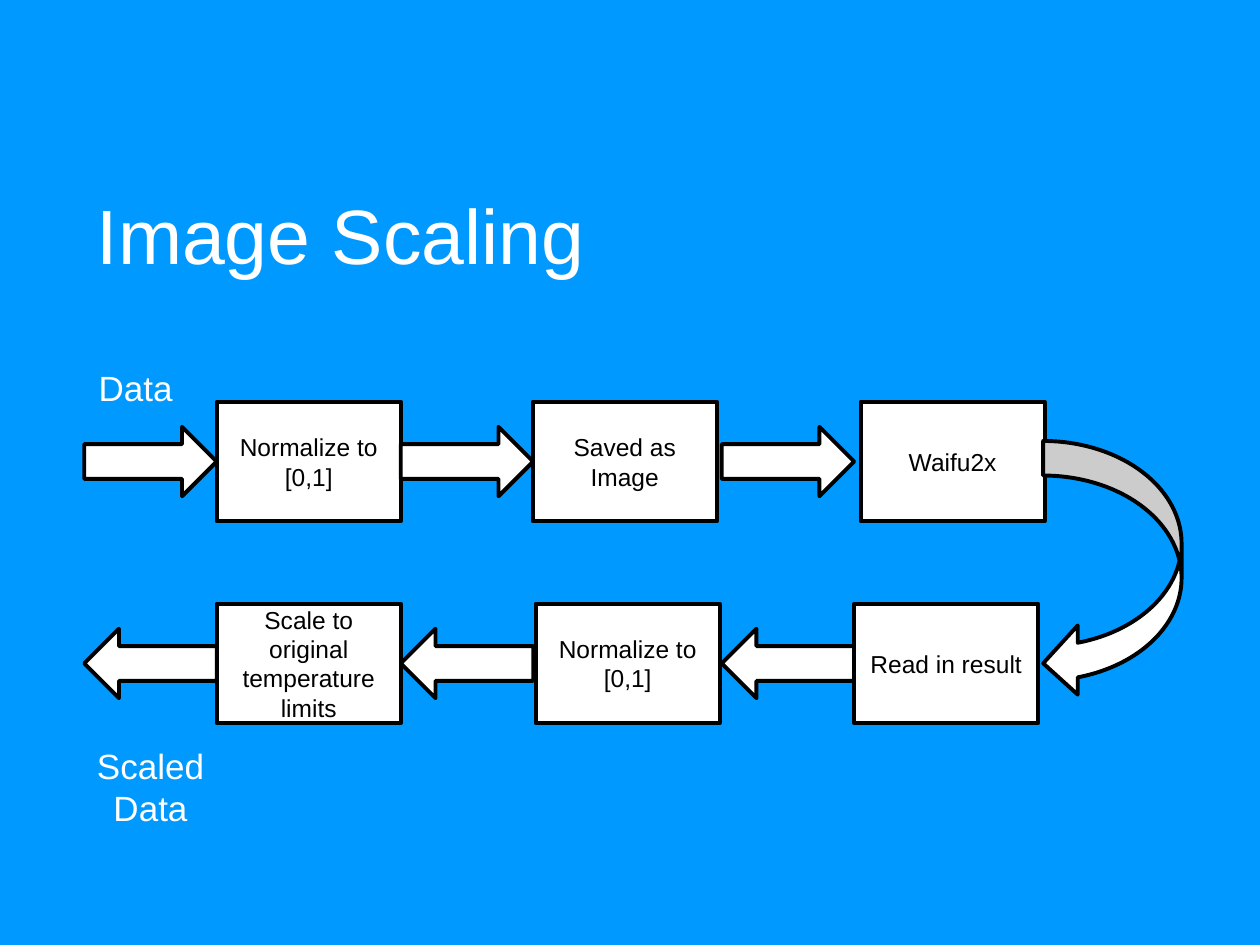
import pptx
import pptx.dml.color
import pptx.enum.shapes
import pptx.enum.text
import pptx.util

Cm = pptx.util.Cm
Pt = pptx.util.Pt
RGBColor = pptx.dml.color.RGBColor
Shape = pptx.enum.shapes.MSO_SHAPE
Align = pptx.enum.text.PP_ALIGN
Anchor = pptx.enum.text.MSO_ANCHOR

BLUE = RGBColor(0x00, 0x99, 0xFF)
WHITE = RGBColor(0xFF, 0xFF, 0xFF)
BLACK = RGBColor(0x00, 0x00, 0x00)

FONT = "Arial"
BOX_WIDTH, BOX_HEIGHT = 3.71, 2.41
ARROW_WIDTH, ARROW_HEIGHT = 2.67, 1.4
ARROW_LEFTS = (1.7, 8.08, 14.55)
TOP_ROW, BOTTOM_ROW = 8.1, 12.17

FORWARD_STEPS = (
    (4.37, ["Normalize to", "[0,1]"]),
    (10.74, ["Saved as Image"]),
    (17.35, ["Waifu2x"]),
)
RETURN_STEPS = (
    (4.37, ["Scale to original temperature limits"]),
    (10.8, ["Normalize to", "[0,1]"]),
    (17.22, ["Read in result"]),
)


def write_text(shape, lines, size, color, align=Align.CENTER,
               anchor=Anchor.TOP, inset=0.25):
    frame = shape.text_frame
    frame.word_wrap = True
    frame.vertical_anchor = anchor
    frame.margin_left = frame.margin_right = Cm(0.25)
    frame.margin_top = frame.margin_bottom = Cm(inset)
    for index, line in enumerate(lines):
        paragraph = frame.add_paragraph() if index else frame.paragraphs[0]
        paragraph.alignment = align
        run = paragraph.add_run()
        run.text = line
        run.font.name = FONT
        run.font.size = Pt(size)
        run.font.color.rgb = color


def add_label(slide, text, left, top, width, height):
    box = slide.shapes.add_textbox(Cm(left), Cm(top), Cm(width), Cm(height))
    write_text(box, [text], 20, WHITE)


def add_title(slide, text):
    title = slide.shapes.add_textbox(Cm(1.7), Cm(3.81), Cm(22.86), Cm(2.11))
    write_text(title, [text], 44, WHITE, Align.LEFT, Anchor.MIDDLE, 0.13)
    title.text_frame.paragraphs[0].line_spacing = 0.83


def add_outlined(slide, kind, left, top, width, height):
    shape = slide.shapes.add_shape(kind, Cm(left), Cm(top), Cm(width), Cm(height))
    shape.shadow.inherit = False
    shape.fill.solid()
    shape.fill.fore_color.rgb = WHITE
    shape.line.color.rgb = BLACK
    shape.line.width = Pt(2.25)
    return shape


def add_row(slide, top, steps, arrow_kind):
    arrow_top = top + (BOX_HEIGHT - ARROW_HEIGHT) / 2
    for arrow_left, (box_left, lines) in zip(ARROW_LEFTS, steps):
        add_outlined(slide, arrow_kind, arrow_left, arrow_top,
                     ARROW_WIDTH, ARROW_HEIGHT)
        box = add_outlined(slide, Shape.RECTANGLE, box_left, top,
                           BOX_WIDTH, BOX_HEIGHT)
        write_text(box, lines, 14, BLACK, anchor=Anchor.MIDDLE)


def main():
    presentation = pptx.Presentation()
    presentation.slide_width = Cm(25.4)
    presentation.slide_height = Cm(19.05)
    slide = presentation.slides.add_slide(presentation.slide_layouts[6])
    slide.background.fill.solid()
    slide.background.fill.fore_color.rgb = BLUE

    add_title(slide, "Image Scaling")
    add_row(slide, TOP_ROW, FORWARD_STEPS, Shape.RIGHT_ARROW)
    add_outlined(slide, Shape.CURVED_LEFT_ARROW, 21.03, 8.89, 2.79, 5.18)
    add_row(slide, BOTTOM_ROW, RETURN_STEPS, Shape.LEFT_ARROW)
    add_label(slide, "Data", 1.4, 7.14, 2.67, 1.07)
    add_label(slide, "Scaled Data", 1.37, 14.76, 3.33, 2.24)

    presentation.save("out.pptx")


if __name__ == "__main__":
    main()
